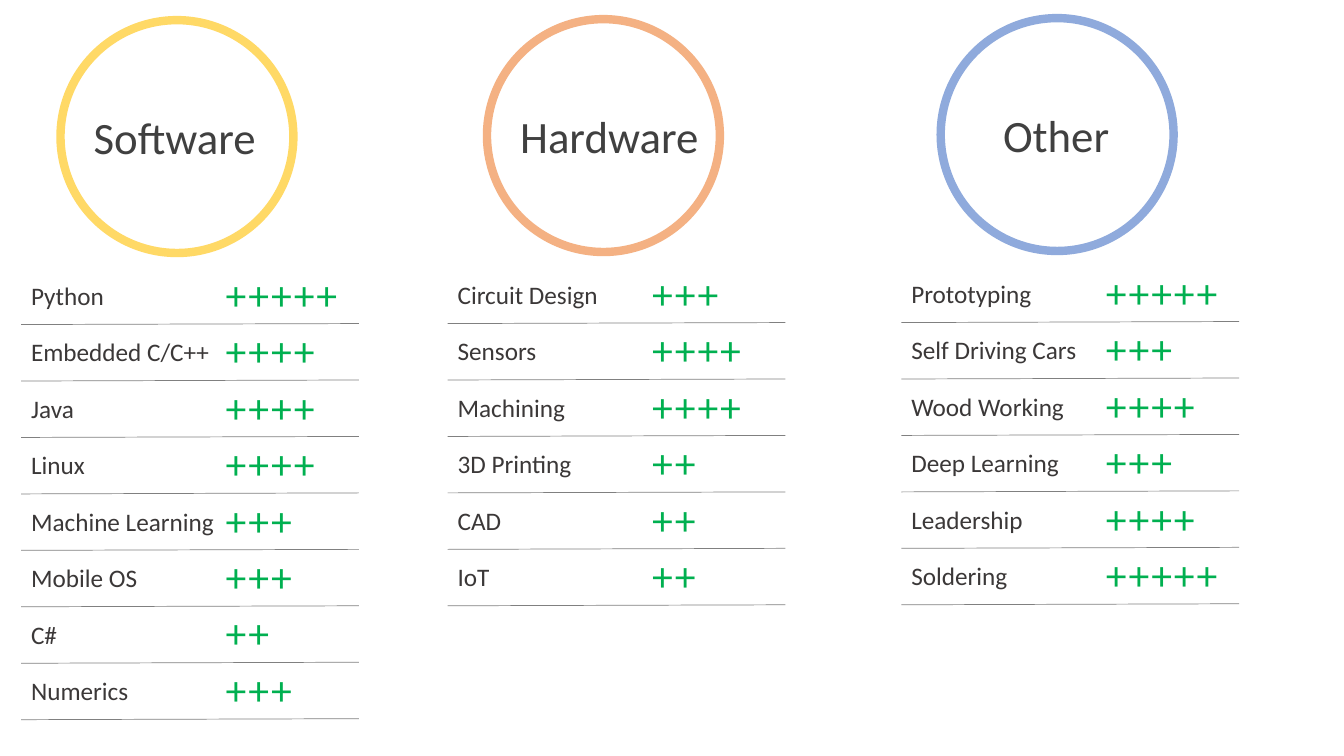
from dataclasses import dataclass

from lxml.etree import SubElement
from pptx import Presentation
from pptx.dml.color import RGBColor
from pptx.enum.shapes import MSO_CONNECTOR, MSO_SHAPE
from pptx.enum.text import MSO_AUTO_SIZE
from pptx.oxml.ns import qn
from pptx.shapes.shapetree import GroupShapes
from pptx.slide import Slide
from pptx.util import Inches, Pt

COLORS = {
    "yellow": "FFD966",
    "orange": "F4B183",
    "blue": "8FAADC",
    "heading": "404040",
    "skill": "3B3838",
    "rating": "00B050",
    "rule": "808080",
}
ROW_PITCH = 0.56
CIRCLE_SIZE = 2.31
RULE_LENGTH = 3.35
RULE_RISE = 0.01


@dataclass(frozen=True)
class TextStyle:
    font: str
    size: int
    color: str
    height: float
    wrap: bool = True


@dataclass(frozen=True)
class Skill:
    name: str
    rating: int
    width: float = 1.89


@dataclass(frozen=True)
class SkillColumn:
    title: str
    color: str
    left: float
    top: float
    title_left: float
    title_width: float
    skills: tuple[Skill, ...]


HEADING = TextStyle("Calibri", 32, "heading", 0.64, wrap=False)
SKILL_NAME = TextStyle("Calibri", 18, "skill", 0.4)
RATING = TextStyle("Lato", 28, "rating", 0.57)

COLUMNS = (
    SkillColumn("Software", "yellow", 0.21, 0.2, 0.83, 1.84, (
        Skill("Python", 5),
        Skill("Embedded C/C++", 4, 2.06),
        Skill("Java", 4),
        Skill("Linux", 4),
        Skill("Machine Learning", 3, 2.06),
        Skill("Mobile OS", 3),
        Skill("C#", 2),
        Skill("Numerics", 3),
    )),
    SkillColumn("Hardware", "orange", 4.44, 0.19, 5.06, 1.99, (
        Skill("Circuit Design", 3),
        Skill("Sensors", 4),
        Skill("Machining", 4),
        Skill("3D Printing", 2),
        Skill("CAD", 2),
        Skill("IoT", 2),
    )),
    SkillColumn("Other", "blue", 8.94, 0.18, 9.85, 1.27, (
        Skill("Prototyping", 5),
        Skill("Self Driving Cars", 3),
        Skill("Wood Working", 4),
        Skill("Deep Learning", 3),
        Skill("Leadership", 4),
        Skill("Soldering", 5),
    )),
)


def rgb(name: str) -> RGBColor:
    return RGBColor.from_string(COLORS[name])


def add_text(shapes: GroupShapes, text: str, left: float, top: float,
             width: float, style: TextStyle) -> None:
    shape = shapes.add_textbox(Inches(left), Inches(top), Inches(width), Inches(style.height))
    frame = shape.text_frame
    frame.word_wrap = style.wrap
    frame.auto_size = MSO_AUTO_SIZE.SHAPE_TO_FIT_TEXT
    paragraph = frame.paragraphs[0]
    paragraph.text = text
    paragraph.font.name = style.font
    paragraph.font.size = Pt(style.size)
    paragraph.font.color.rgb = rgb(style.color)


def add_circle(shapes: GroupShapes, column: SkillColumn) -> None:
    circle = shapes.add_shape(
        MSO_SHAPE.OVAL, Inches(column.left + 0.39), Inches(column.top),
        Inches(CIRCLE_SIZE), Inches(CIRCLE_SIZE))
    circle.shadow.inherit = False
    circle.fill.background()
    circle.line.color.rgb = rgb(column.color)
    circle.line.width = Pt(6)


def add_rule(shapes: GroupShapes, left: float, top: float) -> None:
    rule = shapes.add_connector(
        MSO_CONNECTOR.STRAIGHT, Inches(left), Inches(top),
        Inches(left + RULE_LENGTH), Inches(top - RULE_RISE))
    rule.line.color.rgb = rgb("rule")
    rule.line.width = Pt(0.5)
    SubElement(rule._element.spPr, qn("a:effectLst"))


def add_skill(shapes: GroupShapes, skill: Skill, left: float, top: float) -> None:
    add_text(shapes, skill.name, left, top + 0.09, skill.width, SKILL_NAME)
    add_rule(shapes, left, top + 0.58)
    add_text(shapes, "+" * skill.rating, left + 1.92, top, 1.56, RATING)


def add_column(slide: Slide, column: SkillColumn) -> None:
    shapes = slide.shapes.add_group_shape().shapes
    add_circle(shapes, column)
    add_text(shapes, column.title, column.title_left, column.top + 0.84,
             column.title_width, HEADING)
    for row, skill in enumerate(column.skills):
        add_skill(shapes, skill, column.left, column.top + 2.44 + row * ROW_PITCH)


def main() -> None:
    """Build the slide of skill columns rated with plus signs."""
    presentation = Presentation()
    presentation.slide_width = Inches(13.33)
    presentation.slide_height = Inches(7.5)
    slide = presentation.slides.add_slide(presentation.slide_layouts[6])
    for column in COLUMNS:
        add_column(slide, column)
    presentation.save("out.pptx")


if __name__ == "__main__":
    main()
